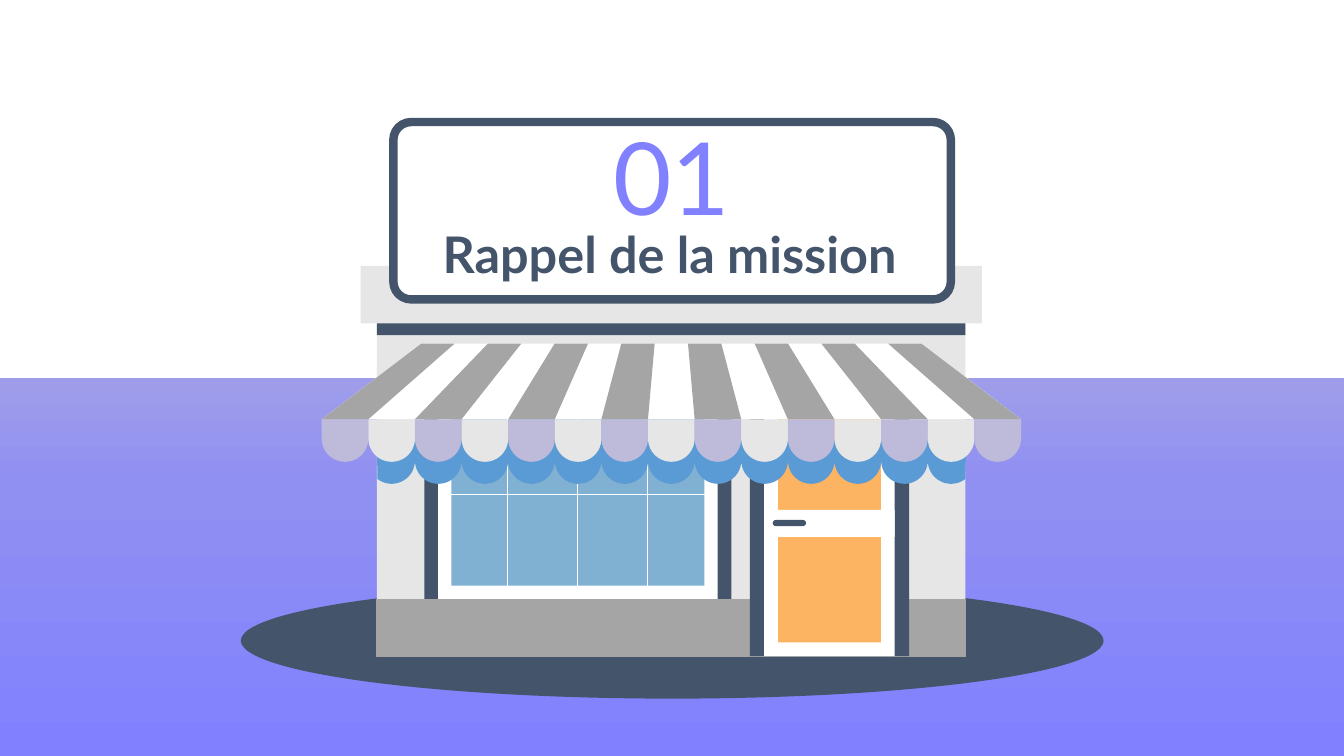
"""Build a section slide showing a shop front with a numbered sign."""
import copy
import math

from pptx import Presentation
from pptx import util as u
from pptx.dml.color import RGBColor
from pptx.enum import shapes, text
from pptx.oxml.ns import qn
from pptx.oxml.xmlchemy import OxmlElement

COLORS = {
    "white": "FFFFFF", "slate": "44546A", "wall": "E7E6E6", "grey": "A5A5A5",
    "glass": "80B1D3", "door": "FDB462", "shade": "5B9BD5", "lilac": "BEBADA",
    "violet": "8181FF",
}
GROUND_STOPS = [(0, "9F9DEA"), (0.29, "908FF2"), (1, "8181FF")]
FONT = "Lato"
SCALLOPS = 15


def color(name):
    """Return the palette colour with this name."""
    return RGBColor.from_string(COLORS[name])


def paint(shape, fill, line=None, weight=0.75):
    """Give a shape its fill and line, without a shadow."""
    shape.shadow.inherit = False
    shape.fill.solid()
    shape.fill.fore_color.rgb = color(fill)
    if line:
        shape.line.color.rgb = color(line)
        shape.line.width = u.Pt(weight)
    else:
        shape.line.fill.background()


def add_block(slide, box, fill, kind=shapes.MSO_SHAPE.RECTANGLE, **line):
    """Add a painted preset shape in a box of points."""
    shape = slide.shapes.add_shape(kind, *map(u.Pt, box))
    paint(shape, fill, **line)
    return shape


def add_outline(slide, points, fill):
    """Add a closed painted outline through points."""
    corners = [(u.Pt(x), u.Pt(y)) for x, y in points]
    builder = slide.shapes.build_freeform(*corners[0], scale=1.0)
    builder.add_line_segments(corners[1:], close=True)
    paint(builder.convert_to_shape(), fill)


def add_bar(slide, start_x, start_y, end_x, end_y):
    """Add a thin white window bar."""
    bar = slide.shapes.add_connector(
        shapes.MSO_CONNECTOR.STRAIGHT, *map(u.Pt, (start_x, start_y, end_x, end_y)))
    bar.line.color.rgb = color("white")
    bar.line.width = u.Pt(0.85)
    bar._element.spPr.append(OxmlElement("a:effectLst"))


def add_text(slide, box, content, size, fill, bold=False):
    """Add a centred line of text in a box of points."""
    frame = slide.shapes.add_textbox(*map(u.Pt, box)).text_frame
    frame.word_wrap = True
    frame.vertical_anchor = text.MSO_ANCHOR.MIDDLE
    frame.margin_left = frame.margin_right = u.Pt(7.2)
    frame.margin_top = frame.margin_bottom = u.Pt(7.2)
    paragraph = frame.paragraphs[0]
    paragraph.alignment = text.PP_ALIGN.CENTER
    paragraph.line_spacing = 0.9
    run = paragraph.add_run()
    run.text = content
    run.font.name = FONT
    run.font.size = u.Pt(size)
    run.font.bold = bold
    run.font.color.rgb = color(fill)


def inset(box, margin):
    """Shrink a box by the same margin on every side."""
    left, top, width, height = box
    return left + margin, top + margin, width - 2 * margin, height - 2 * margin


def half_circle(left, top, radius, steps=24):
    """List the points of a lower half circle from left to right."""
    angles = [math.pi * step / steps for step in range(steps + 1)]
    return [(left + radius - radius * math.cos(angle), top + radius * math.sin(angle))
            for angle in angles]


def draw_ground(slide, left, top, width, height):
    """Draw the gradient ground and the dark ellipse under the shop."""
    ground = add_block(slide, (left, top, width, height), "violet")
    ground.fill.gradient()
    ground.fill.gradient_angle = 270
    stop_list = ground._element.spPr.find(qn("a:gradFill")).find(qn("a:gsLst"))
    stop_list.append(copy.deepcopy(stop_list[-1]))
    for stop, (position, value) in zip(ground.fill.gradient_stops, GROUND_STOPS):
        stop.position = position
        stop.color.rgb = RGBColor.from_string(value)
    add_block(slide, (left + 172, top + 146.2, 616.3, 82.8), "slate",
              shapes.MSO_SHAPE.OVAL)


def draw_window(slide, left, top, width, height):
    """Draw the framed shop window and its bars."""
    box = left, top, width, height
    for margin, fill in ((0, "slate"), (9.7, "white"), (19.3, "glass")):
        add_block(slide, inset(box, margin), fill)
    middle_x, middle_y = left + width / 2, top + height / 2
    add_bar(slide, left + 13.5, middle_y, left + width - 13.5, middle_y)
    for step in (-1, 0, 1):
        x = middle_x + 50 * step
        add_bar(slide, x, top + 12.5, x, top + height - 12.5)


def draw_door(slide, left, top, width, height):
    """Draw the door with its frame, panel, crossbar and handle."""
    add_block(slide, (left, top, width, height), "slate")
    add_block(slide, (left + 10.3, top, width - 20.6, height), "white")
    add_block(slide, (left + 20.2, top + 6, width - 40.4, height - 16), "door")
    add_block(slide, (left + 10.3, top + 115.2, width - 20.6, 19.4), "white")
    handle = add_block(slide, (left + 16.4, top + 122.4, 23.8, 4.4), "slate",
                       shapes.MSO_SHAPE.ROUNDED_RECTANGLE)
    handle.adjustments[0] = 0.5


def draw_front(slide, left, top, width, height):
    """Draw the wall with window, base, door and cornice."""
    add_block(slide, (left, top, width, height), "wall")
    draw_window(slide, left + 34, top + 78.5, 219.2, 169.2)
    add_block(slide, (left, top + height - 40.5, width, 40.5), "grey", line="grey")
    draw_door(slide, left + 266.4, top + 59, 113.8, height - 59)
    add_block(slide, (left, top + 14.4, width, 35), "slate")
    add_block(slide, (left - 11.6, top, width + 23.2, 41), "wall")


def draw_awning(slide, left, top, width, height, wall_left, wall_right):
    """Draw the striped awning, its scallops and their shade on the wall."""
    pitch = width / SCALLOPS
    radius = pitch / 2
    roof_height = 54
    edge = top + roof_height
    straight = height - roof_height - radius
    shade = [(wall_left, edge + 15)]
    for index in range(SCALLOPS):
        arc = half_circle(left + pitch * index, edge + straight + 15.7, radius)
        shade += [point for point in arc if wall_left <= point[0] <= wall_right]
    add_outline(slide, shade + [(wall_right, edge + 15)], "shade")

    slope = 71
    top_pitch = (width - 2 * slope) / SCALLOPS
    add_outline(slide, [(left + slope, top), (left, edge), (left + width, edge),
                        (left + width - slope, top)], "white")
    for index in range(0, SCALLOPS, 2):
        upper, lower = left + slope + top_pitch * index, left + pitch * index
        add_outline(slide, [(upper, top), (lower, edge), (lower + pitch, edge),
                            (upper + top_pitch, top)], "grey")
    for index in range(SCALLOPS):
        x = left + pitch * index
        arc = half_circle(x, edge + straight, radius)
        add_outline(slide, [(x, edge), *arc, (x + pitch, edge)],
                    "wall" if index % 2 else "lilac")


def draw_sign(slide, left, top, width, height, number, title):
    """Draw the sign with the section number and title."""
    sign = add_block(slide, (left, top, width, height), "white",
                     shapes.MSO_SHAPE.ROUNDED_RECTANGLE, line="slate", weight=6)
    sign.adjustments[0] = 0.1
    add_text(slide, (left, top + 79.2, width - 3.6, 35.3), title, 36, "slate", bold=True)
    add_text(slide, (left + 1.4, top + 6.5, width - 3.6, 74.2), number, 72, "violet")


def main():
    """Build and save the slide."""
    presentation = Presentation()
    presentation.slide_width, presentation.slide_height = u.Pt(960), u.Pt(540)
    slide = presentation.slides.add_slide(presentation.slide_layouts[6])
    draw_ground(slide, 0, 270, 960, 270)
    draw_front(slide, 269.2, 190, 420.5, 278.8)
    draw_awning(slide, 229.8, 245.5, 499.5, 84.4, 269.2, 690.3)
    draw_sign(slide, 281, 87.2, 398.2, 126.7, "01", "Rappel de la mission")
    presentation.save("out.pptx")


if __name__ == "__main__":
    main()
